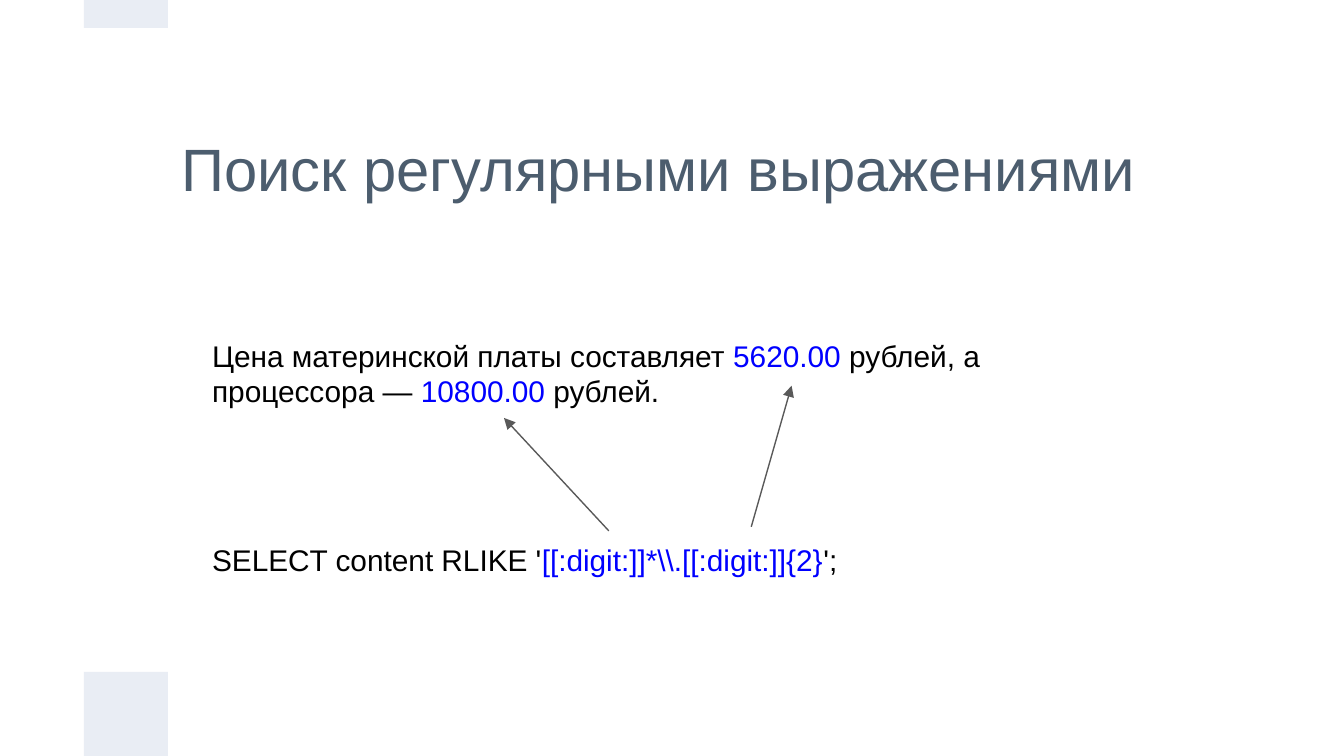
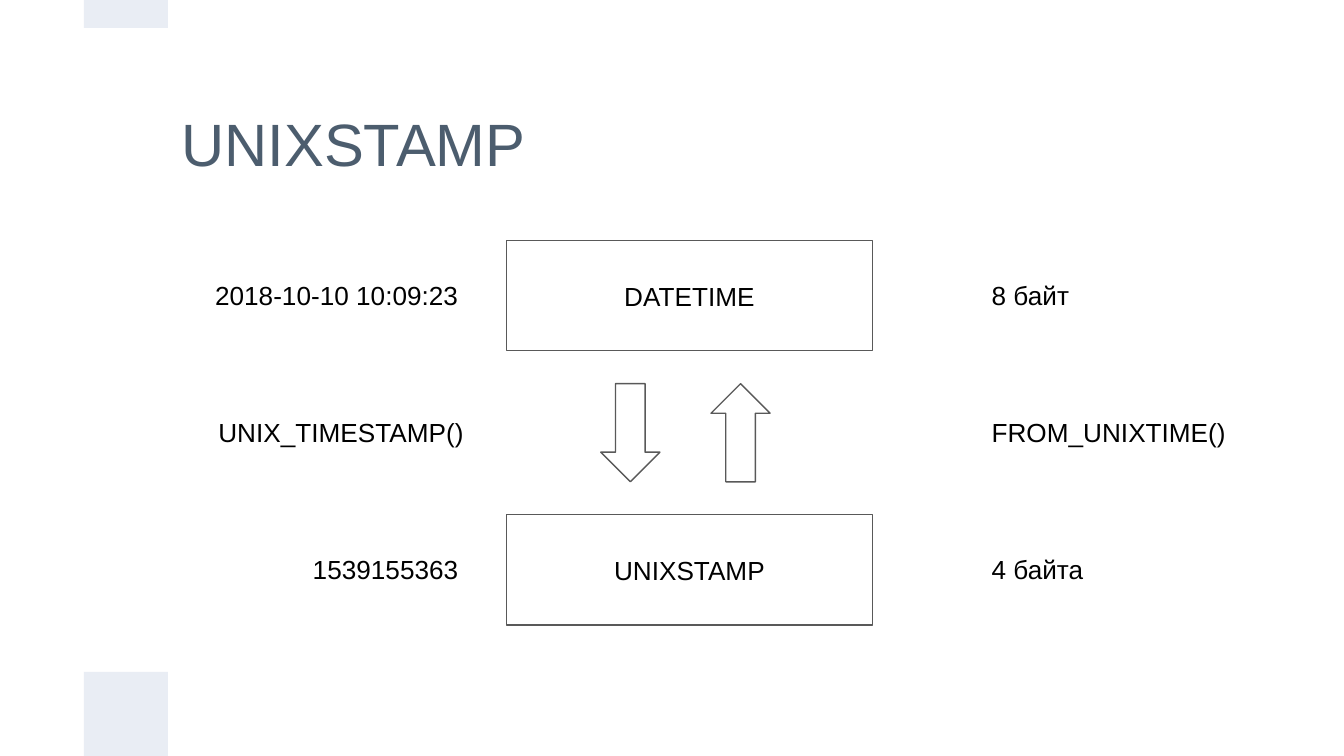
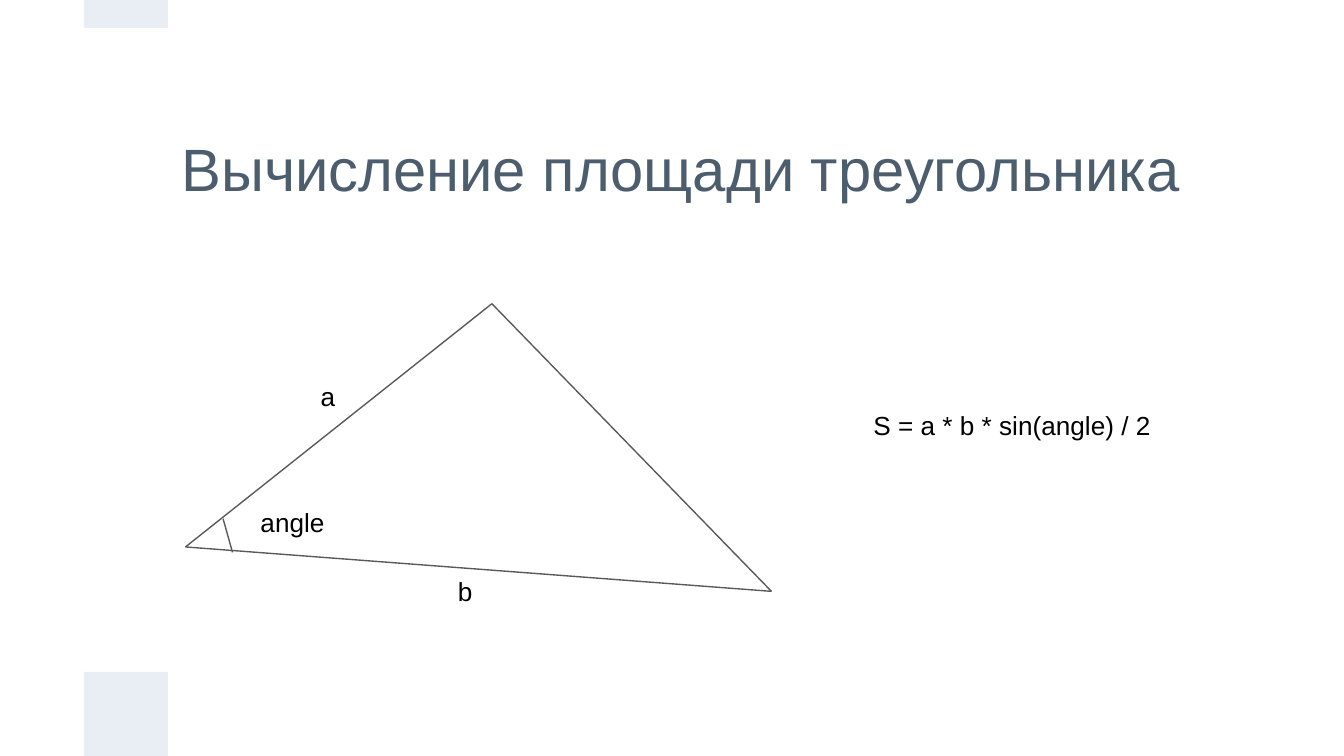
from lxml import etree
from pptx import Presentation
from pptx.dml.color import RGBColor
from pptx.enum.shapes import MSO_CONNECTOR, MSO_SHAPE
from pptx.enum.text import MSO_ANCHOR, MSO_AUTO_SIZE, PP_ALIGN
from pptx.oxml.ns import qn
from pptx.util import Inches, Pt

RECT, DOWN_ARROW = MSO_SHAPE.RECTANGLE, MSO_SHAPE.DOWN_ARROW
STRAIGHT = MSO_CONNECTOR.STRAIGHT
LEFT, CENTER, RIGHT = PP_ALIGN.LEFT, PP_ALIGN.CENTER, PP_ALIGN.RIGHT
TOP, MIDDLE = MSO_ANCHOR.TOP, MSO_ANCHOR.MIDDLE
NO_AUTOFIT = MSO_AUTO_SIZE.NONE

# Theme: everything the slides share
THEME = {
    "font": "Arial",
    "title": "4C5D6E", "text": "000000", "accent": "0000FF",
    "line": "595959", "band": "E9EDF4",
    "title_size": 32, "body_size": 16, "label_size": 14,
    "line_width": 0.75, "inset": 0.1,
}

# Slide grid: 16:9, one unit is a sixteenth of the width
SLIDE_W = 10
UNIT = SLIDE_W / 16
SLIDE_H = 9 * UNIT
TITLE_LEFT, TITLE_TOP = 2 * UNIT, UNIT
BANDS = [(UNIT, SLIDE_H - UNIT, UNIT, UNIT), (UNIT, 0, UNIT, UNIT / 3)]

# Content: regular expressions (runs are text and colour name)
REGEX = {
    "title": ("Поиск регулярными выражениями", 8.07, 1.25),
    "passages": [
        ((1.48, 2.41, 6.67, 0.78), [
            ("Цена материнской платы составляет ", "text"),
            ("5620.00", "accent"),
            (" рублей, а процессора — ", "text"),
            ("10800.00", "accent"),
            (" рублей.", "text")]),
        ((1.48, 3.93, 6.67, 0.57), [
            ("SELECT content RLIKE '", "text"),
            (r"[[:digit:]]*\\.[[:digit:]]{2}", "accent"),
            ("';", "text")]),
    ],
    "matches": [((5.59, 3.92), (5.89, 2.87)), ((4.53, 3.95), (3.75, 3.11))],
}

# Content: time stamps (each row is example, stored type, size)
STAMP = {
    "title": ("UNIXSTAMP", 7.5, 0.87),
    "rows": [
        (("2018-10-10 10:09:23", 2.06), "DATETIME", ("8 байт", 0.85)),
        (("1539155363", 1.31), "UNIXSTAMP", ("4 байта", 1.07)),
    ],
    "functions": [("UNIX_TIMESTAMP()", 1.49, RIGHT), ("FROM_UNIXTIME()", 7.28, LEFT)],
    "arrows": [(4.47, 0), (5.29, 180)],
}

# Content: triangle
TRIANGLE = {
    "title": ("Вычисление площади треугольника", 7.73, 1.25),
    "corners": [(1.38, 4.07), (3.66, 2.26), (5.74, 4.4)],
    "angle_mark": ((1.66, 3.86), (1.73, 4.11)),
    "labels": [
        ("a", 2.23, 2.73, 0.42, CENTER),
        ("b", 3.25, 4.18, 0.42, CENTER),
        ("angle", 1.84, 3.67, 0.76, LEFT),
        ("S = a * b * sin(angle) / 2", 6.4, 2.95, 2.35, LEFT),
    ],
}


def color(name):
    return RGBColor.from_string(THEME[name])


def write(shape, runs, size, align=LEFT, anchor=TOP):
    frame = shape.text_frame
    inset = Inches(THEME["inset"])
    frame_format = {
        "word_wrap": True, "auto_size": NO_AUTOFIT, "vertical_anchor": anchor,
        "margin_left": inset, "margin_right": inset,
        "margin_top": inset, "margin_bottom": inset,
    }
    for key, value in frame_format.items():
        setattr(frame, key, value)
    paragraph = frame.paragraphs[0]
    paragraph.alignment = align
    for text, color_name in runs:
        run = paragraph.add_run()
        run.text = text
        run.font.name = THEME["font"]
        run.font.size = Pt(THEME[size])
        run.font.color.rgb = color(color_name)


def add_text(slide, box, runs, size="label_size", align=LEFT):
    write(slide.shapes.add_textbox(*map(Inches, box)), runs, size, align)


def add_label(slide, box, text, align=LEFT):
    add_text(slide, box, [(text, "text")], align=align)


def add_outline(slide, preset, box):
    shape = slide.shapes.add_shape(preset, *map(Inches, box))
    shape.shadow.inherit = False
    shape.fill.background()
    shape.line.color.rgb = color("line")
    shape.line.width = Pt(THEME["line_width"])
    return shape


def add_line(slide, start, end, arrow=False):
    line = slide.shapes.add_connector(STRAIGHT, *map(Inches, start + end))
    line.line.color.rgb = color("line")
    line.line.width = Pt(THEME["line_width"])
    properties = line._element.spPr
    if arrow:
        etree.SubElement(properties.find(qn("a:ln")), qn("a:tailEnd"), type="triangle")
    etree.SubElement(properties, qn("a:effectLst"))


def add_slide(deck, title, width, height):
    slide = deck.slides.add_slide(deck.slide_layouts[5])
    heading = slide.shapes.title
    place = {"left": TITLE_LEFT, "top": TITLE_TOP, "width": width, "height": height}
    for key, value in place.items():
        setattr(heading, key, Inches(value))
    write(heading, [(title, "title")], "title_size", anchor=MIDDLE)
    for box in BANDS:
        band = slide.shapes.add_shape(RECT, *map(Inches, box))
        band.shadow.inherit = False
        band.fill.solid()
        band.fill.fore_color.rgb = color("band")
        band.line.fill.background()
    return slide


def build_regex(deck):
    slide = add_slide(deck, *REGEX["title"])
    for box, runs in REGEX["passages"]:
        add_text(slide, box, runs, "body_size")
    for start, end in REGEX["matches"]:
        add_line(slide, start, end, arrow=True)


def build_stamp(deck):
    slide = add_slide(deck, *STAMP["title"])
    first_top, row_step, box_h, label_h = 1.79, 2.04, 0.82, 0.45
    example_right, size_left = 3.51, 7.28
    # Stored types with their example and size, centred on each row
    for i, (example, stored_type, size) in enumerate(STAMP["rows"]):
        top = first_top + i * row_step
        type_box = add_outline(slide, RECT, (3.77, top, 2.72, box_h))
        write(type_box, [(stored_type, "text")], "label_size", CENTER, MIDDLE)
        label_top = top + (box_h - label_h) / 2
        text, width = example
        add_label(slide, (example_right - width, label_top, width, label_h), text, RIGHT)
        text, width = size
        add_label(slide, (size_left, label_top, width, label_h), text)
    # Conversions, halfway between the rows
    middle = first_top + (row_step + box_h) / 2
    arrow_h = 0.73
    for left, turn in STAMP["arrows"]:
        arrow = add_outline(slide, DOWN_ARROW, (left, middle - arrow_h / 2, 0.44, arrow_h))
        arrow.rotation = turn
    for text, left, align in STAMP["functions"]:
        add_label(slide, (left, middle - label_h / 2, 2.06, label_h), text, align)


def build_triangle(deck):
    slide = add_slide(deck, *TRIANGLE["title"])
    vertex, apex, far = TRIANGLE["corners"]
    for start, end in [(vertex, apex), (vertex, far), (apex, far), TRIANGLE["angle_mark"]]:
        add_line(slide, start, end)
    for text, left, top, width, align in TRIANGLE["labels"]:
        add_label(slide, (left, top, width, 0.44), text, align)


deck = Presentation()
deck.slide_width, deck.slide_height = Inches(SLIDE_W), Inches(SLIDE_H)
for build in (build_regex, build_stamp, build_triangle):
    build(deck)
deck.save("out.pptx")
